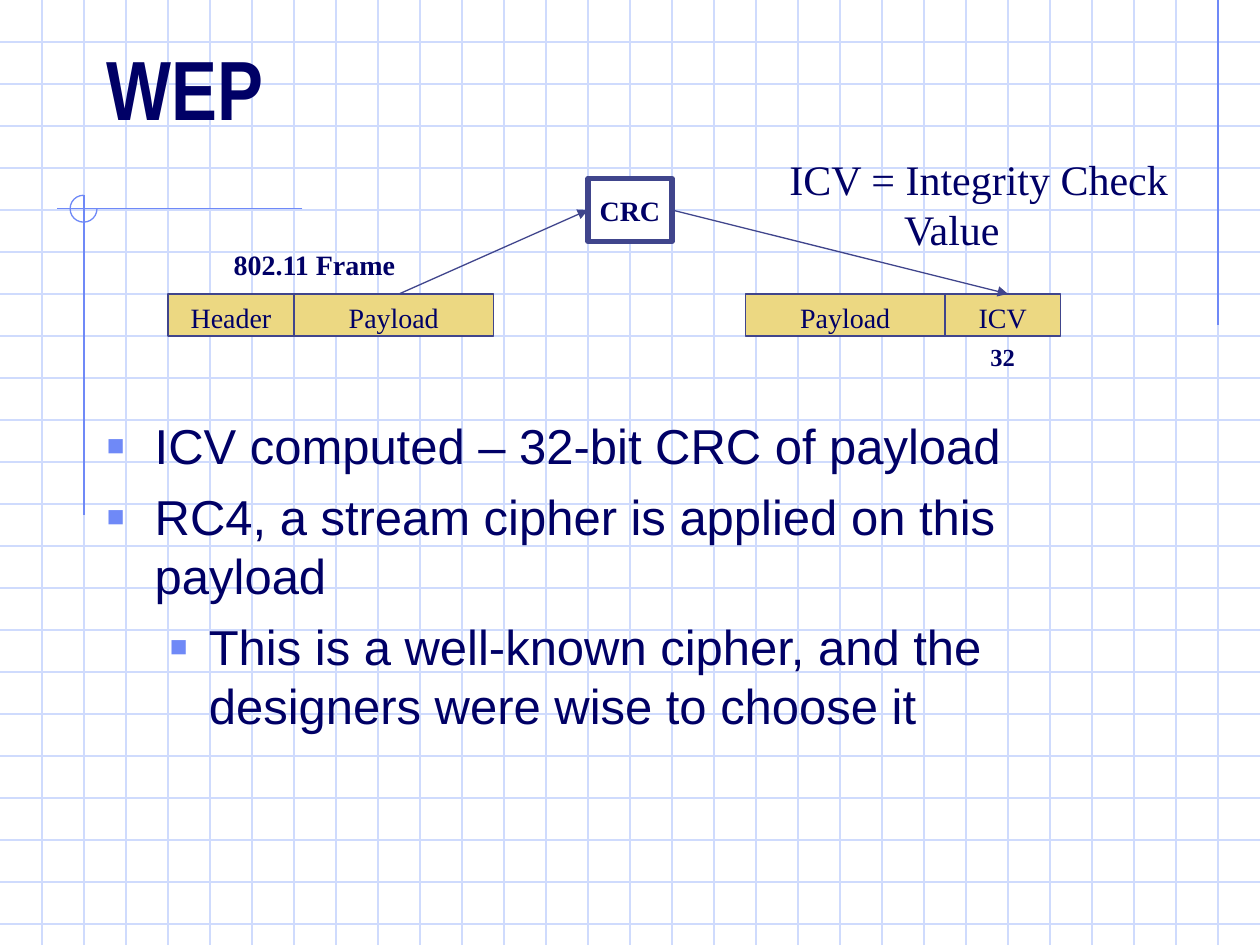
"""Build the WEP integrity check slide."""
from dataclasses import dataclass

from lxml.etree import SubElement
from pptx import Presentation
from pptx.dml.color import RGBColor
from pptx.enum.shapes import MSO_CONNECTOR, MSO_SHAPE
from pptx.enum.text import MSO_ANCHOR, PP_ALIGN
from pptx.oxml.ns import qn
from pptx.util import Inches, Pt

COLUMNS, ROWS = 30, 22.5
NAVY, INDIGO, ACCENT, GRID = "000066", "40458C", "6F89F7", "CFDBFD"
SAND, WHITE = "ECD882", "FFFFFF"
SERIF = "Times New Roman"


@dataclass
class Box:
    """A rectangle measured in grid columns and rows."""
    column: float
    row: float
    width: float
    height: float


@dataclass
class Style:
    """The look of a text."""
    size: int = 16
    font: str = SERIF
    bold: bool = False
    align: PP_ALIGN = PP_ALIGN.LEFT


@dataclass
class Block:
    """A framed rectangle with a label."""
    label: str
    box: Box
    fill: str = SAND
    weight: float = 0.75
    bold: bool = False
    anchor: MSO_ANCHOR = MSO_ANCHOR.TOP


@dataclass
class Line:
    """A straight line between two grid points."""
    start: tuple[float, float]
    end: tuple[float, float]
    color: str = ACCENT
    arrow: bool = False


@dataclass
class Bullet:
    """A bulleted paragraph with its indents in inches."""
    text: str
    level: int = 0
    left: float = 0.38
    hanging: float = 0.38


BLOCKS = [
    Block("Header", Box(4, 7, 3, 1)),
    Block("Payload", Box(7, 7, 4.75, 1)),
    Block("Payload", Box(17.75, 7, 4.75, 1)),
    Block("ICV", Box(22.5, 7, 2.75, 1)),
    Block("CRC", Box(14, 4.25, 2, 1.5), WHITE, 3, True, MSO_ANCHOR.MIDDLE),
]
ACCENT_LINES = [
    Line((29, 0), (29, 7.75)),
    Line((7.2, 4.97), (1.35, 4.97)),
    Line((2, 4.65), (2, 12.27)),
]
ARROWS = [
    Line((9.5, 7), (14, 5), INDIGO, True),
    Line((16, 5), (24, 7), INDIGO, True),
]
BULLETS = [
    Bullet("ICV computed – 32-bit CRC of payload"),
    Bullet("RC4, a stream cipher is applied on this payload"),
    Bullet("This is a well-known cipher, and the designers were wise to choose it",
           1, 0.81, 0.31),
]


def grid(units: float) -> int:
    """Turn grid units into a length."""
    return Inches(units * 10 / COLUMNS)


def place(box: Box) -> tuple[int, int, int, int]:
    """Give the position and size of a box."""
    return grid(box.column), grid(box.row), grid(box.width), grid(box.height)


def paint(fill, color: str) -> None:
    """Give a fill a solid colour."""
    fill.solid()
    fill.fore_color.rgb = RGBColor.from_string(color)


def write(paragraph, text: str, style: Style) -> None:
    """Put styled text into a paragraph."""
    paragraph.text = text
    paragraph.alignment = style.align
    font = paragraph.font
    font.size, font.name, font.bold = Pt(style.size), style.font, style.bold
    paint(font.fill, NAVY)


def draw_line(slide, line: Line) -> None:
    """Draw a line, with an arrowhead if wanted."""
    points = [grid(value) for value in (*line.start, *line.end)]
    connector = slide.shapes.add_connector(MSO_CONNECTOR.STRAIGHT, *points)
    connector.line.width = Pt(0.75)
    paint(connector.line.fill, line.color)
    if line.arrow:
        SubElement(connector.get_or_add_ln(), qn("a:tailEnd"), type="triangle")
    SubElement(connector._element.spPr, qn("a:effectLst"))


def draw_block(slide, block: Block) -> None:
    """Draw a labelled rectangle."""
    shape = slide.shapes.add_shape(MSO_SHAPE.RECTANGLE, *place(block.box))
    shape.shadow.inherit = False
    paint(shape.fill, block.fill)
    paint(shape.line.fill, INDIGO)
    shape.line.width = Pt(block.weight)
    frame = shape.text_frame
    frame.word_wrap = False
    frame.vertical_anchor = block.anchor
    if block.anchor == MSO_ANCHOR.TOP:
        frame.margin_bottom = 0
    write(frame.paragraphs[0], block.label, Style(bold=block.bold, align=PP_ALIGN.CENTER))


def draw_text(slide, box: Box, lines: list[str], style: Style, wrap: bool = False):
    """Draw a text box and return its frame."""
    frame = slide.shapes.add_textbox(*place(box)).text_frame
    frame.word_wrap = wrap
    for index, text in enumerate(lines):
        paragraph = frame.add_paragraph() if index else frame.paragraphs[0]
        write(paragraph, text, style)
    return frame


def draw_bullets(slide, box: Box, bullets: list[Bullet]) -> None:
    """Draw the bulleted list."""
    frame = slide.shapes.add_textbox(*place(box)).text_frame
    frame.word_wrap = True
    for index, bullet in enumerate(bullets):
        paragraph = frame.add_paragraph() if index else frame.paragraphs[0]
        paragraph.level = bullet.level
        if index:
            paragraph.space_before = Pt(7)
        properties = paragraph._p.get_or_add_pPr()
        properties.set("marL", str(Inches(bullet.left)))
        properties.set("indent", str(-Inches(bullet.hanging)))
        SubElement(SubElement(properties, qn("a:buClr")), qn("a:srgbClr"), val=ACCENT)
        SubElement(properties, qn("a:buSzPct"), val="60000")
        SubElement(properties, qn("a:buFont"), typeface="Arial")
        SubElement(properties, qn("a:buChar"), char="■")
        write(paragraph, bullet.text, Style(28, "Arial"))


def draw_backdrop(slide) -> None:
    """Draw the squared paper and the accent lines."""
    paint(slide.background.fill, WHITE)
    rows = [Line((0, row), (COLUMNS, row), GRID) for row in range(1, 23)]
    columns = [Line((column, 0), (column, ROWS), GRID) for column in range(1, COLUMNS)]
    for line in rows + columns + ACCENT_LINES:
        draw_line(slide, line)
    arc = slide.shapes.add_shape(MSO_SHAPE.ARC, *place(Box(1.67, 4.65, 0.64, 0.64)))
    arc.shadow.inherit = False
    arc.adjustments[0], arc.adjustments[1] = 0, 162
    arc.fill.background()
    paint(arc.line.fill, ACCENT)
    arc.line.width = Pt(0.75)


def main() -> None:
    """Build and save the slide."""
    presentation = Presentation()
    presentation.slide_width, presentation.slide_height = grid(COLUMNS), grid(ROWS)
    slide = presentation.slides.add_slide(presentation.slide_layouts[6])
    draw_backdrop(slide)
    for block in BLOCKS:
        draw_block(slide, block)
    title = draw_text(slide, Box(2.25, 1.5, 25.5, 1.75), ["WEP"], Style(48, "Arial Narrow", True), True)
    title.vertical_anchor = MSO_ANCHOR.MIDDLE
    title.paragraphs[0].line_spacing = 0.7
    draw_bullets(slide, Box(2.25, 9.75, 25.5, 11.25), BULLETS)
    for arrow in ARROWS:
        draw_line(slide, arrow)
    centered = PP_ALIGN.CENTER
    draw_text(slide, Box(5.25, 5.75, 4.47, 1.1), ["802.11 Frame"], Style(bold=True, align=centered))
    draw_text(slide, Box(23.25, 8, 1.25, 1), ["32"], Style(14, bold=True, align=centered), True)
    note = draw_text(slide, Box(18.5, 3.5, 9.87, 2.7), ["ICV = Integrity Check", "Value"], Style(24))
    note.paragraphs[1]._p.get_or_add_pPr().set("marL", str(Inches(0.91)))
    presentation.save("out.pptx")


if __name__ == "__main__":
    main()
